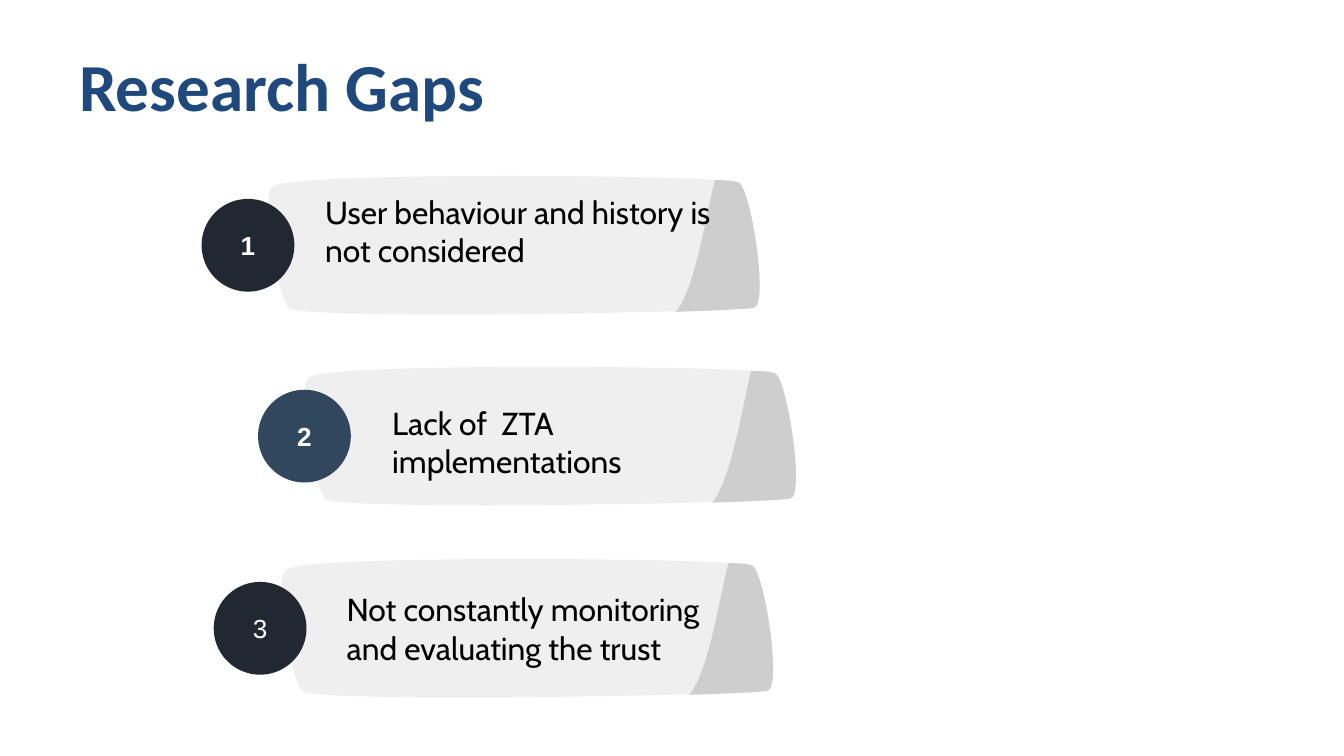
import copy
from dataclasses import dataclass

import pptx
import pptx.dml.color
import pptx.enum.shapes
import pptx.enum.text
import pptx.oxml
import pptx.oxml.ns
import pptx.util

Inches = pptx.util.Inches
Align = pptx.enum.text.PP_ALIGN
Anchor = pptx.enum.text.MSO_ANCHOR

EDGE = [(3.7, 0.98), (3.81, 0.96), (3.68, 0.11), (3.59, 0.05)]
BODY = [
    (1.87, 0), (1.03, 0), (0.18, 0.02), (0.12, 0.08),
    (0, 0.2), (0.18, 0.97), (0.25, 0.99),
    (0.34, 1.02), (0.84, 1.03), (1.44, 1.03),
    (2.39, 1.03), (3.58, 1), *EDGE,
    (3.54, 0.02), (2.71, 0), (1.87, 0),
]
TIP = [
    (3.41, 0.03), (3.35, 0.25), (3.27, 0.82), (3.12, 1.01),
    (3.42, 1), (3.65, 0.99), *EDGE,
    (3.57, 0.04), (3.51, 0.03), (3.41, 0.03),
]


@dataclass
class Gap:
    mark: str
    text: str
    left: float
    top: float
    dot: float
    label: tuple[float, float]
    hue: str
    bold: bool


GAPS = [
    Gap("1", "User behaviour and history is not considered",
        1.91, 1.31, 1.5, (2.32, 1.48), "222831", True),
    Gap("2", "Lack of  ZTA implementations",
        2.18, 2.73, 1.92, (2.82, 3.05), "30475E", True),
    Gap("3", "Not constantly monitoring and evaluating the trust",
        2.01, 4.16, 1.59, (2.48, 4.44), "222831", False),
]


def color(code: str):
    return pptx.dml.color.RGBColor.from_string(code)


def paint(shape, code: str) -> None:
    shape.shadow.inherit = False
    shape.fill.solid()
    shape.fill.fore_color.rgb = color(code)
    shape.line.fill.background()


def write(shape, text: str, face: str, size: int, code: str,
          bold: bool = False, pad: float = 0.1,
          anchor=Anchor.MIDDLE, align=Align.LEFT) -> None:
    frame = shape.text_frame
    frame.text = text
    frame.word_wrap = True
    frame.vertical_anchor = anchor
    frame.margin_left = frame.margin_right = Inches(0.1)
    frame.margin_top = frame.margin_bottom = Inches(pad)
    line = frame.paragraphs[0]
    line.alignment = align
    font = line.runs[0].font
    font.name, font.size, font.bold = face, pptx.util.Pt(size), bold
    font.color.rgb = color(code)


def curve(shapes, nodes: list, left: float, top: float, code: str) -> None:
    spots = [(Inches(left + x), Inches(top + y)) for x, y in nodes]
    pen = shapes.build_freeform(*spots[0])
    pen.add_line_segments(spots[1:], close=True)
    shape = pen.convert_to_shape()
    paint(shape, code)
    lines = list(shape.element.iter(pptx.oxml.ns.qn("a:lnTo")))
    for i in range(0, len(lines), 3):
        bend = pptx.oxml.parse_xml(
            f'<a:cubicBezTo {pptx.oxml.ns.nsdecls("a")}/>')
        lines[i].addprevious(bend)
        for line in lines[i:i + 3]:
            bend.append(copy.deepcopy(line[0]))
            line.getparent().remove(line)


def draw(shapes, gap: Gap) -> None:
    curve(shapes, BODY, gap.left, gap.top, "EFEFEF")
    curve(shapes, TIP, gap.left, gap.top, "CECECE")
    dot = shapes.add_shape(
        pptx.enum.shapes.MSO_SHAPE.OVAL, Inches(gap.dot),
        Inches(gap.top + 0.17), Inches(0.69), Inches(0.69))
    paint(dot, gap.hue)
    write(dot, gap.mark, "Arial", 14, "FFFFFF", gap.bold, align=Align.CENTER)
    x, y = gap.label
    label = shapes.add_textbox(Inches(x), Inches(y), Inches(3.09), Inches(0.47))
    write(label, gap.text, "Cabin", 17, "000000")


def main() -> None:
    deck = pptx.Presentation()
    deck.slide_width, deck.slide_height = Inches(10), Inches(10 * 9 / 16)
    shapes = deck.slides.add_slide(deck.slide_layouts[6]).shapes
    title = shapes.add_textbox(
        Inches(0.49), Inches(0.28), Inches(7.14), Inches(5.34))
    write(title, "Research Gaps", "Calibri", 36, "1F497D", True, 0.05, Anchor.TOP)
    for gap in GAPS:
        draw(shapes, gap)
    deck.save("out.pptx")


if __name__ == "__main__":
    main()
